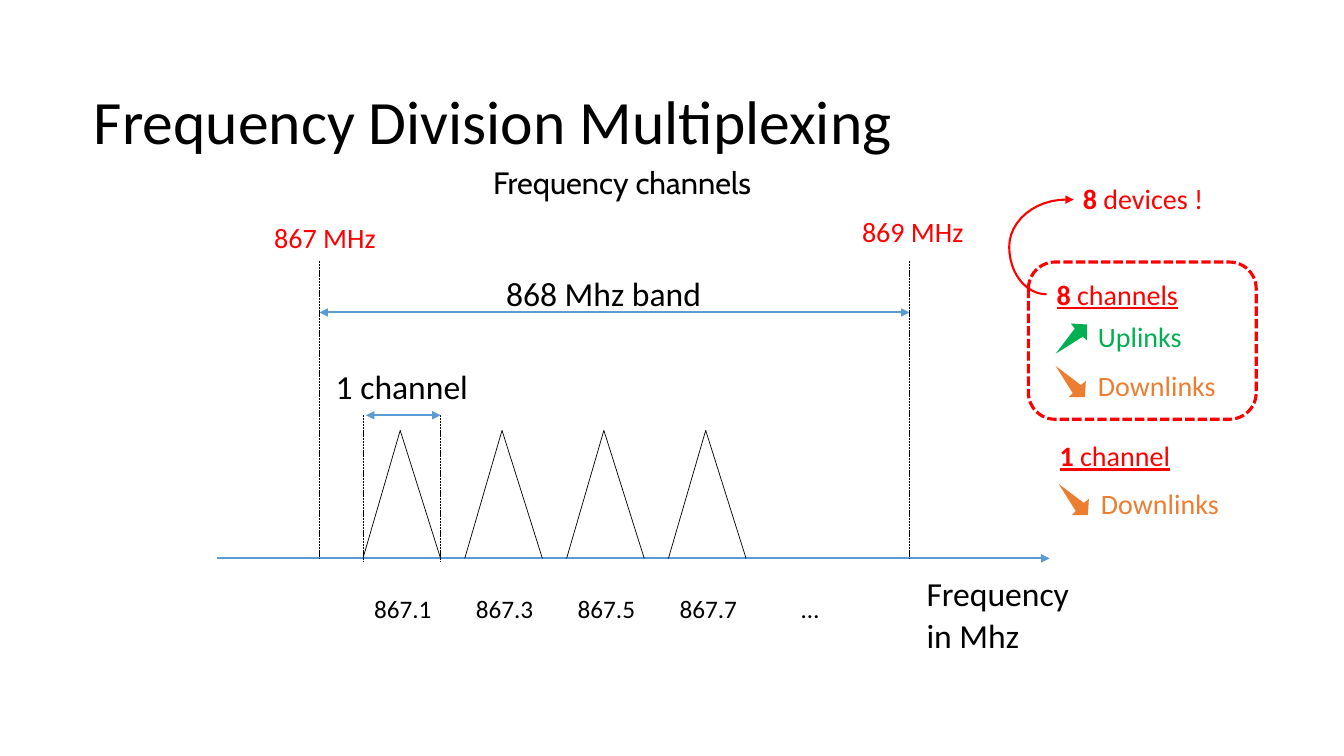
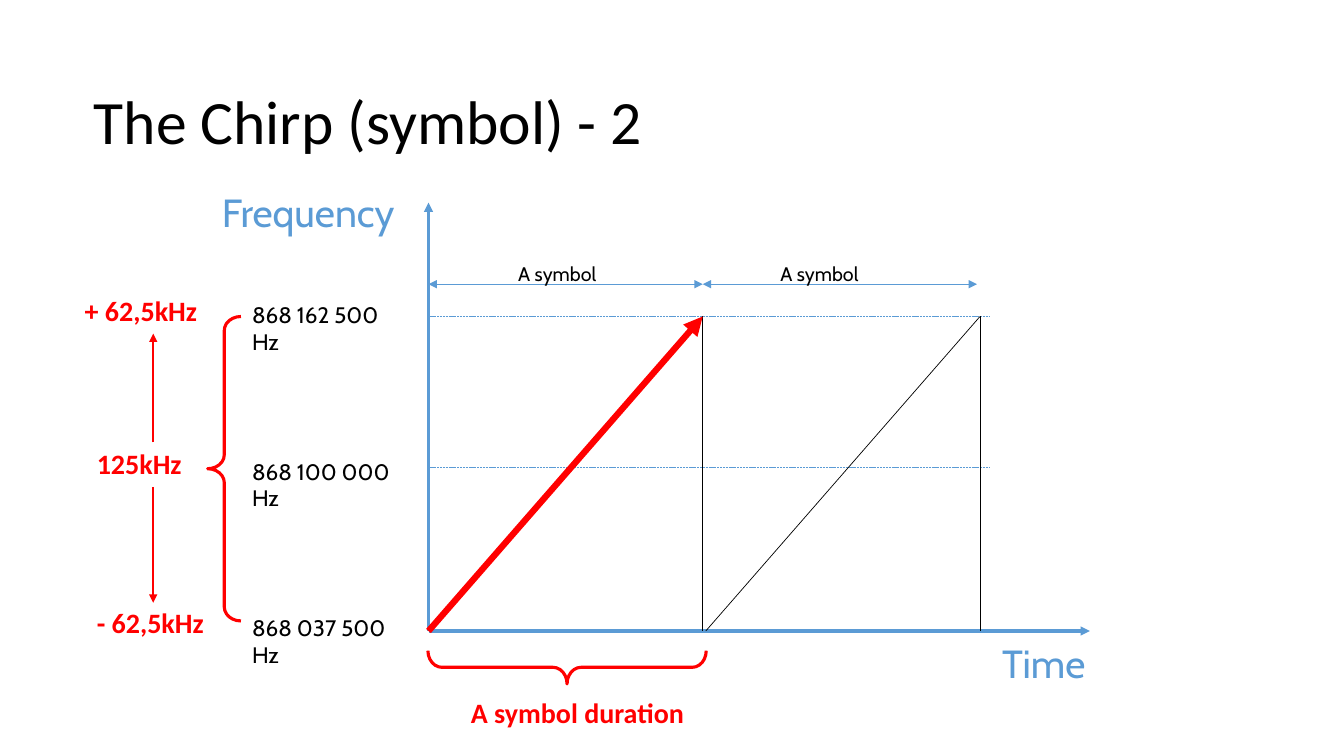
from math import cos, pi, sin

from lxml.etree import SubElement
from pptx import Presentation
from pptx.dml.color import RGBColor
from pptx.enum.dml import MSO_LINE as Dash
from pptx.enum.shapes import MSO_CONNECTOR as Wire, MSO_SHAPE as Shape
from pptx.enum.text import MSO_ANCHOR as Anchor, MSO_AUTO_SIZE as Fit, PP_ALIGN as Align
from pptx.oxml.ns import qn
from pptx.util import Inches, Pt

BLACK, RED, BLUE = "000000", "FF0000", "5B9BD5"
GREEN, ORANGE = "00B050", "ED7D31"
BODY, SIDE = "Calibri", "Cabin"
BLOCK = [(0.15, 0), (0.31, 0.01), (0.31, 0.17), (0.27, 0.13), (0, 0.3), (0.19, 0.05)]


def paint(item, hue):
    if hasattr(item, "solid"):
        item.solid()
        item = item.fore_color
    item.rgb = RGBColor.from_string(hue)


def stroke(line, hue, width, dash=None, ends=""):
    paint(line.fill, hue)
    line.width = Pt(width)
    if dash:
        line.dash_style = dash
    tags = {"head": "a:headEnd", "tail": "a:tailEnd"}
    for end in ends.split():
        SubElement(line._get_or_add_ln(), qn(tags[end]), type="triangle")


def rule(slide, start, stop, hue=BLACK, width=0.5, dash=None, ends=""):
    spots = [Inches(v) for v in (*start, *stop)]
    wire = slide.shapes.add_connector(Wire.STRAIGHT, *spots)
    stroke(wire.line, hue, width, dash, ends)
    SubElement(wire._element.spPr, qn("a:effectLst"))


def trace(slide, points, close=False):
    spots = [(Inches(x), Inches(y)) for x, y in points]
    pen = slide.shapes.build_freeform(*spots[0])
    pen.add_line_segments(spots[1:], close=close)
    shape = pen.convert_to_shape()
    shape.shadow.inherit = False
    return shape


def curve(slide, points, hue, width, ends=""):
    shape = trace(slide, points)
    shape.fill.background()
    stroke(shape.line, hue, width, ends=ends)


def frame(slide, kind, x, y, w, h, adjust, dash=None, turn=0):
    shape = slide.shapes.add_shape(kind, Inches(x), Inches(y), Inches(w), Inches(h))
    shape.adjustments[0] = adjust
    shape.rotation = turn
    shape.shadow.inherit = False
    shape.fill.background()
    stroke(shape.line, RED, 2.25, dash)


def style(para, size, hue, face=BODY, bold=False):
    font = para.font
    font.name, font.size, font.bold = face, Pt(size), bold
    paint(font.color, hue)


def blank(slide, x, y, w, h, wrap=False):
    text = slide.shapes.add_textbox(Inches(x), Inches(y), Inches(w), Inches(h)).text_frame
    text.margin_left = Inches(0.01)
    text.margin_top = Inches(0.02)
    text.margin_right = text.margin_bottom = 0
    text.word_wrap = wrap
    return text


def label(slide, words, x, y, w, h, size, hue=BLACK, face=BODY, bold=False,
          wrap=False, pitch=None, align=Align.LEFT):
    para = blank(slide, x, y, w, h, wrap).paragraphs[0]
    para.text = words
    para.alignment = align
    if pitch:
        para.line_spacing = Pt(pitch)
    style(para, size, hue, face, bold)


def lead(para, count, rest, line=False):
    for words, bold in ((count, True), (rest, False)):
        run = para.add_run()
        run.text = words
        run.font.bold = bold
        run.font.underline = line
    style(para, 20, RED)


def start(deck, words):
    slide = deck.slides.add_slide(deck.slide_layouts[5])
    title = slide.shapes.title
    title.left, title.top = Inches(0.92), Inches(0.4)
    title.width, title.height = Inches(11.5), Inches(1.45)
    text = title.text_frame
    text.text = words
    text.auto_size = Fit.NONE
    text.vertical_anchor = Anchor.MIDDLE
    text.margin_left, text.margin_top = Inches(0.01), Inches(0.13)
    text.margin_right = text.margin_bottom = 0
    para = text.paragraphs[0]
    para.alignment = Align.LEFT
    style(para, 44, BLACK)
    return slide


def band(slide, x, y, w, h):
    base = y + h
    low, high = x + 1.02, x + 6.87
    rule(slide, (x, base), (x + w, base), BLUE, 1.5, ends="tail")
    rule(slide, (low, y + 0.99), (high, y + 0.99), BLUE, 1.5, ends="head tail")
    for edge in (low, high):
        rule(slide, (edge, y + 0.48), (edge, base), dash=Dash.SQUARE_DOT)
    label(slide, "867 MHz", low - 0.46, y + 0.06, 1.03, 0.36, 20, RED)
    label(slide, "869 MHz", high - 0.48, y, 1.03, 0.36, 20, RED)
    label(slide, "868 Mhz band", x + 2.86, y + 0.58, 1.96, 0.43, 24)
    label(slide, "Frequency in Mhz", x + 7.03, base + 0.11, 1.44, 0.85, 24,
          wrap=True, pitch=30)
    first = x + 1.82
    left, right, top = first - 0.37, first + 0.4, base - 1.42
    for edge in (left, right):
        rule(slide, (edge, top), (edge, base + 0.03), dash=Dash.SQUARE_DOT)
    rule(slide, (left + 0.03, top), (right, top), BLUE, 1.5, ends="head tail")
    label(slide, "1 channel", left - 0.28, top - 0.51, 1.34, 0.43, 24)
    for i, name in enumerate(("867.1", "867.3", "867.5", "867.7", "…")):
        peak = first + 1.01 * i
        if name != "…":
            curve(slide, [(peak - 0.37, base), (peak, base - 1.27), (peak + 0.4, base)],
                  BLACK, 0.5)
        label(slide, name, peak - 0.28, base + 0.33, 0.6, 0.33, 18, align=Align.CENTER)


def block(slide, x, y, hue, down=False):
    points = [(0.3 - v, u) if down else (u, v) for u, v in BLOCK]
    shape = trace(slide, [(x + u, y + v) for u, v in points], True)
    paint(shape.fill, hue)
    shape.line.fill.background()


def links(slide, x, y, count, rest, rows):
    text = blank(slide, x, y, 1.8, 0.36 + 0.45 * len(rows))
    lead(text.paragraphs[0], count, rest, True)
    for words, hue, gap, drop in rows:
        para = text.add_paragraph()
        para.text = words
        para._p.get_or_add_pPr().set("marL", str(Inches(0.41)))
        para.space_before = Pt(gap)
        style(para, 20, hue)
        block(slide, x, y + drop, hue, words == "Downlinks")


def quota(slide, x, y):
    frame(slide, Shape.ROUNDED_RECTANGLE, x, y, 2.26, 1.56, 0.17, Dash.SQUARE_DOT)
    links(slide, x + 0.27, y + 0.13, "8", " channels",
          [("Uplinks", GREEN, 6, 0.48), ("Downlinks", ORANGE, 11, 0.9)])
    links(slide, x + 0.3, y + 1.73, "1", " channel", [("Downlinks", ORANGE, 10, 0.47)])
    turns = [pi / 2 + pi * i / 24 for i in range(25)]
    points = []
    for turn in turns:
        wide = 0.37 if turn <= pi else 0.57
        points.append((x - 0.19 + wide * (1 + cos(turn)), y - 0.15 + 0.47 * sin(turn)))
    points.append((x + 0.45, y - 0.62))
    curve(slide, points, RED, 1.5, "tail")
    text = blank(slide, x + 0.53, y - 0.82, 1.22, 0.36)
    lead(text.paragraphs[0], "8", " devices !")


def chirp(slide, x, y, w, h):
    base, top, span = y + h, y + 1.13, 2.72
    rule(slide, (x, base), (x, y), BLUE, 2.25, ends="tail")
    rule(slide, (x, base), (x + w, base), BLUE, 2.25, ends="tail")
    for level in (top, y + 2.63):
        rule(slide, (x, level), (x + 5.57, level), BLUE, dash=Dash.SQUARE_DOT)
    for i in range(2):
        left = x + 2.75 * i
        right = left + span
        rule(slide, (left, base), (right, top))
        rule(slide, (right, base), (right, top))
        mark = x + span * i
        rule(slide, (mark, y + 0.81), (mark + span, y + 0.81), BLUE, 1, ends="head tail")
        label(slide, "A symbol", x + 0.88 + 2.6 * i, y + 0.57, 0.83, 0.26, 14, face=SIDE)
    rule(slide, (x, base), (x + span, top), RED, 4.5, ends="tail")
    label(slide, "Frequency", x - 2.06, y - 0.16, 1.79, 0.49, 28, BLUE, SIDE)
    label(slide, "Time", x + w - 0.88, base + 0.06, 0.86, 0.49, 28, BLUE, SIDE)
    frame(slide, Shape.LEFT_BRACE, x + 1.21, base - 1.02, 0.33, 2.76, 0.42, turn=270)
    label(slide, "A symbol duration", x + 0.41, base + 0.62, 2.14, 0.36, 20, RED, bold=True)


def scale(slide, x, y):
    frame(slide, Shape.LEFT_BRACE, x + 1.23, y + 0.25, 0.33, 3.02, 0.42)
    for i, value in enumerate(("868 162 500 Hz", "868 100 000 Hz", "868 037 500 Hz")):
        label(slide, value, x + 1.66, y + 0.08 + 1.55 * i, 1.5, 0.29, 16,
              face=SIDE, wrap=True)
    for words, left, top in (("+ 62,5kHz", 0, 0), ("125kHz", 0.12, 1.52),
                             ("- 62,5kHz", 0.12, 3.1)):
        label(slide, words, x + left, y + top, 1.15, 0.36, 20, RED, bold=True)
    for near, far in ((1.5, 0.42), (1.94, 3.09)):
        rule(slide, (x + 0.69, y + near), (x + 0.69, y + far), RED, 1.5, ends="tail")


def main():
    deck = Presentation()
    deck.slide_width, deck.slide_height = Inches(13.33), Inches(7.5)
    slide = start(deck, "Frequency Division Multiplexing")
    label(slide, "Frequency channels", 4.88, 1.6, 2.68, 0.39, 22, face=SIDE)
    band(slide, 2.15, 2.11, 8.26, 3.43)
    quota(slide, 10.2, 2.6)
    slide = start(deck, "The Chirp (symbol) - 2")
    chirp(slide, 4.25, 2.01, 6.56, 4.25)
    scale(slide, 0.83, 2.89)
    deck.save("out.pptx")


if __name__ == "__main__":
    main()
